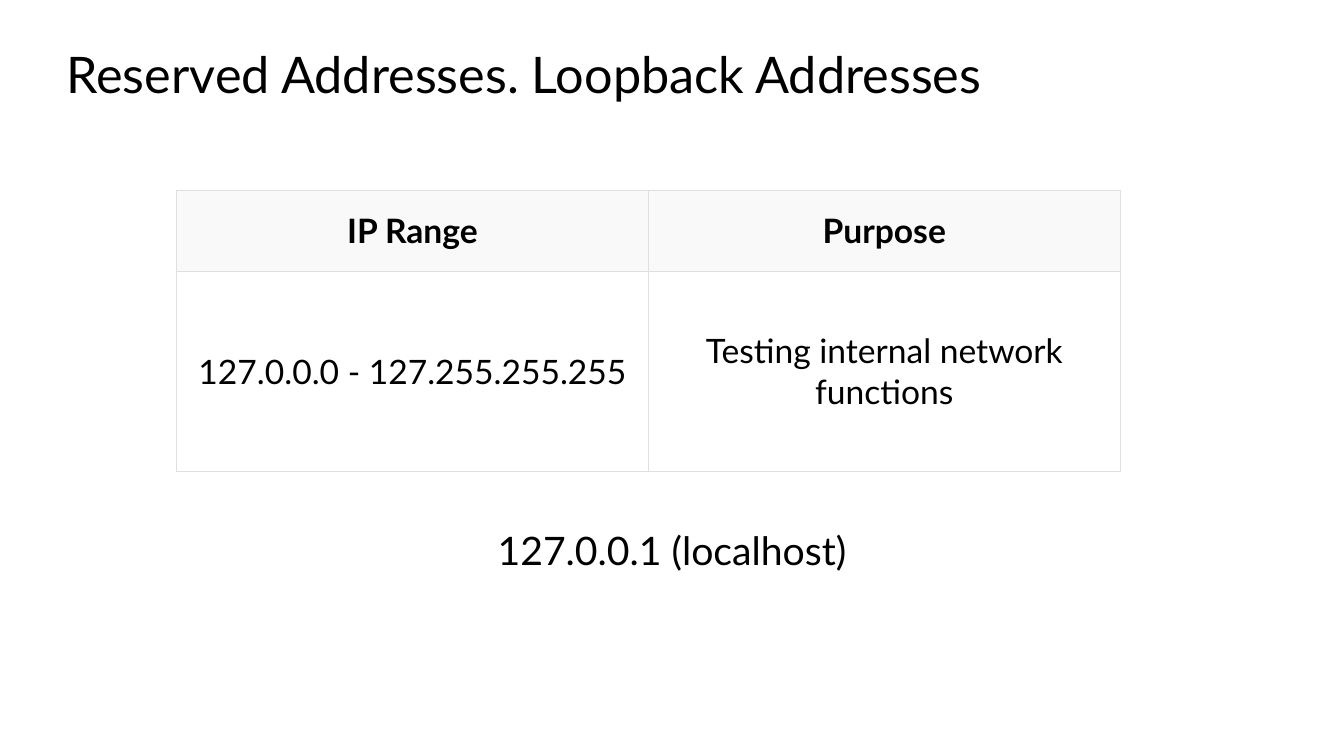
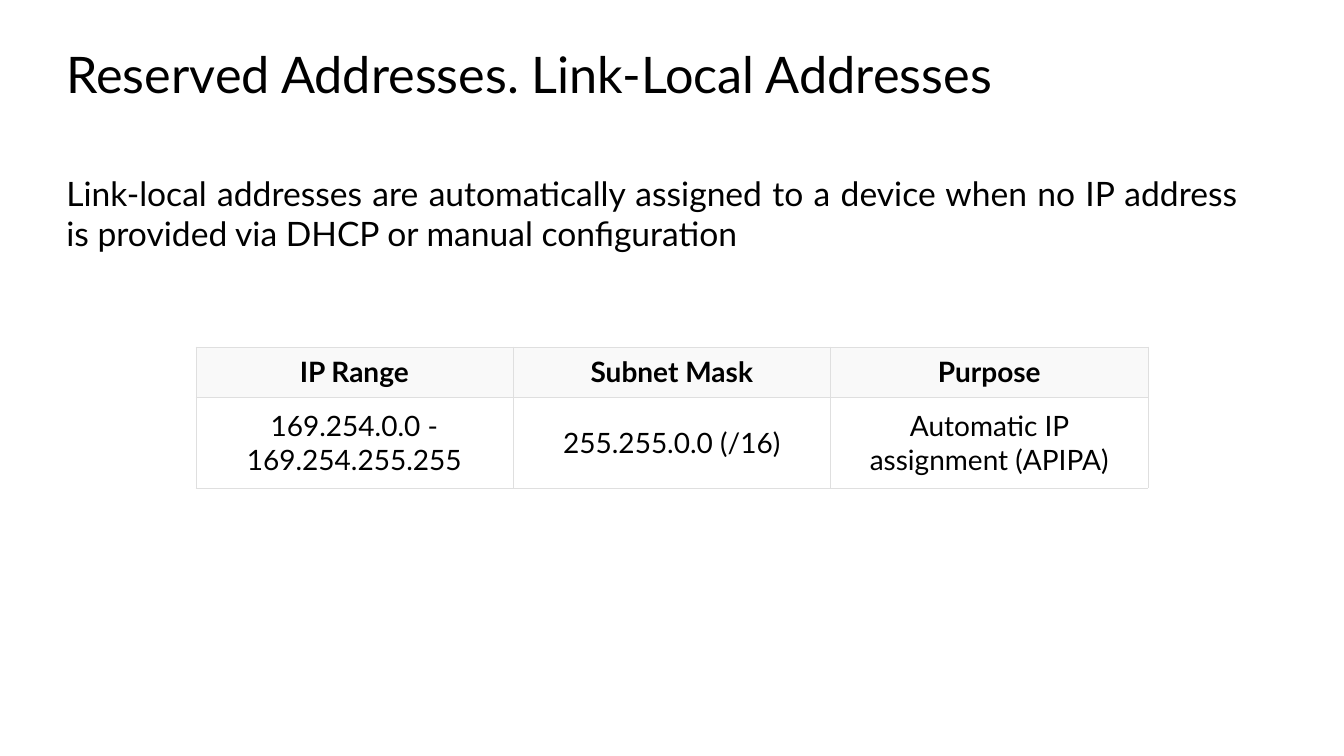
"""Builds two slides on reserved IP address ranges."""
from lxml import etree
from pptx import Presentation
from pptx.dml.color import RGBColor
from pptx.enum.text import MSO_ANCHOR, MSO_AUTO_SIZE, PP_ALIGN
from pptx.oxml.ns import qn
from pptx.util import Cm, Pt

TOP, MIDDLE = MSO_ANCHOR.TOP, MSO_ANCHOR.MIDDLE
LEFT, CENTER, JUSTIFY = PP_ALIGN.LEFT, PP_ALIGN.CENTER, PP_ALIGN.JUSTIFY
FIXED = MSO_AUTO_SIZE.NONE

FONT = "Lato"
COLORS = {"text": "000000", "border": "DFDFDF", "header": "F9F9F9", "cell": "FFFFFF"}
BORDER_WIDTH = Pt(0.18)
TITLE_BOX = (1.42, 0.97, 27.4, 2.57)


class Deck:
    def __init__(self):
        self.presentation = Presentation()
        self.presentation.slide_width = Cm(33.87)
        self.presentation.slide_height = Cm(19.05)
        self.slide = None

    def add_slide(self, title):
        layout = self.presentation.slide_layouts[1]
        self.slide = self.presentation.slides.add_slide(layout)
        self.fill_placeholder(self.slide.shapes.title, title, TITLE_BOX, 36, LEFT)

    def add_body(self, text, box, size, align):
        body = self.slide.placeholders[1]
        paragraph = self.fill_placeholder(body, text, box, size, align)
        paragraph.space_before = Pt(0)
        properties = paragraph._p.get_or_add_pPr()
        properties.set("marL", "0")
        properties.set("indent", "0")
        properties.find(qn("a:spcBef")).addnext(etree.Element(qn("a:buNone")))

    def fill_placeholder(self, placeholder, text, box, size, align):
        left, top, width, height = (Cm(length) for length in box)
        placeholder.left, placeholder.top = left, top
        placeholder.width, placeholder.height = width, height
        frame = placeholder.text_frame
        frame.text = text
        frame.word_wrap = True
        frame.auto_size = FIXED
        frame.vertical_anchor = TOP
        return self.style_text(frame, size, align)

    def style_text(self, frame, size, align, bold=False):
        paragraph = frame.paragraphs[0]
        paragraph.alignment = align
        font = paragraph.font
        font.name, font.size, font.bold = FONT, Pt(size), bold
        font.color.rgb = RGBColor.from_string(COLORS["text"])
        return paragraph

    def add_table(self, rows, left, top, column_width, row_heights, size):
        columns = len(rows[0])
        table = self.slide.shapes.add_table(
            len(rows), columns, Cm(left), Cm(top),
            Cm(column_width * columns), Cm(sum(row_heights))).table
        table.horz_banding = False
        for column in table.columns:
            column.width = Cm(column_width)
        for row_index, (texts, height) in enumerate(zip(rows, row_heights)):
            table.rows[row_index].height = Cm(height)
            for column_index, text in enumerate(texts):
                cell = table.cell(row_index, column_index)
                self.fill_cell(cell, text, size, row_index == 0)

    def fill_cell(self, cell, text, size, is_header):
        cell.text = text
        cell.vertical_anchor = MIDDLE
        cell.margin_left = cell.margin_right = Cm(0.2)
        cell.margin_top = cell.margin_bottom = Cm(0.2 if is_header else 0.3)
        cell.fill.solid()
        background = COLORS["header" if is_header else "cell"]
        cell.fill.fore_color.rgb = RGBColor.from_string(background)
        self.style_text(cell.text_frame, size, CENTER, is_header)
        self.add_borders(cell)

    def add_borders(self, cell):
        properties = cell._tc.get_or_add_tcPr()
        for position, side in enumerate(("lnL", "lnR", "lnT", "lnB")):
            border = etree.Element(qn(f"a:{side}"), w=str(BORDER_WIDTH))
            fill = etree.SubElement(border, qn("a:solidFill"))
            etree.SubElement(fill, qn("a:srgbClr"), val=COLORS["border"])
            properties.insert(position, border)


def main():
    deck = Deck()

    deck.add_slide("Reserved Addresses. Loopback Addresses")
    loopback = [
        ("IP Range", "Purpose"),
        ("127.0.0.0 - 127.255.255.255", "Testing internal network functions"),
    ]
    deck.add_table(loopback, 4.45, 4.78, 11.89, (2.05, 5.05), 24)
    deck.add_body("127.0.0.1 (localhost)", (8.47, 13.13, 16.93, 1.45), 28, CENTER)

    deck.add_slide("Reserved Addresses. Link-Local Addresses")
    deck.add_body(
        "Link-local addresses are automatically assigned to a device when no IP "
        "address is provided via DHCP or manual configuration",
        (1.42, 4.22, 30.02, 2.31), 24, JUSTIFY)
    link_local = [
        ("IP Range", "Subnet Mask", "Purpose"),
        ("169.254.0.0 - 169.254.255.255", "255.255.0.0 (/16)",
         "Automatic IP assignment (APIPA)"),
    ]
    deck.add_table(link_local, 4.93, 8.74, 8, (1.26, 2.3), 20)

    deck.presentation.save("out.pptx")


if __name__ == "__main__":
    main()
